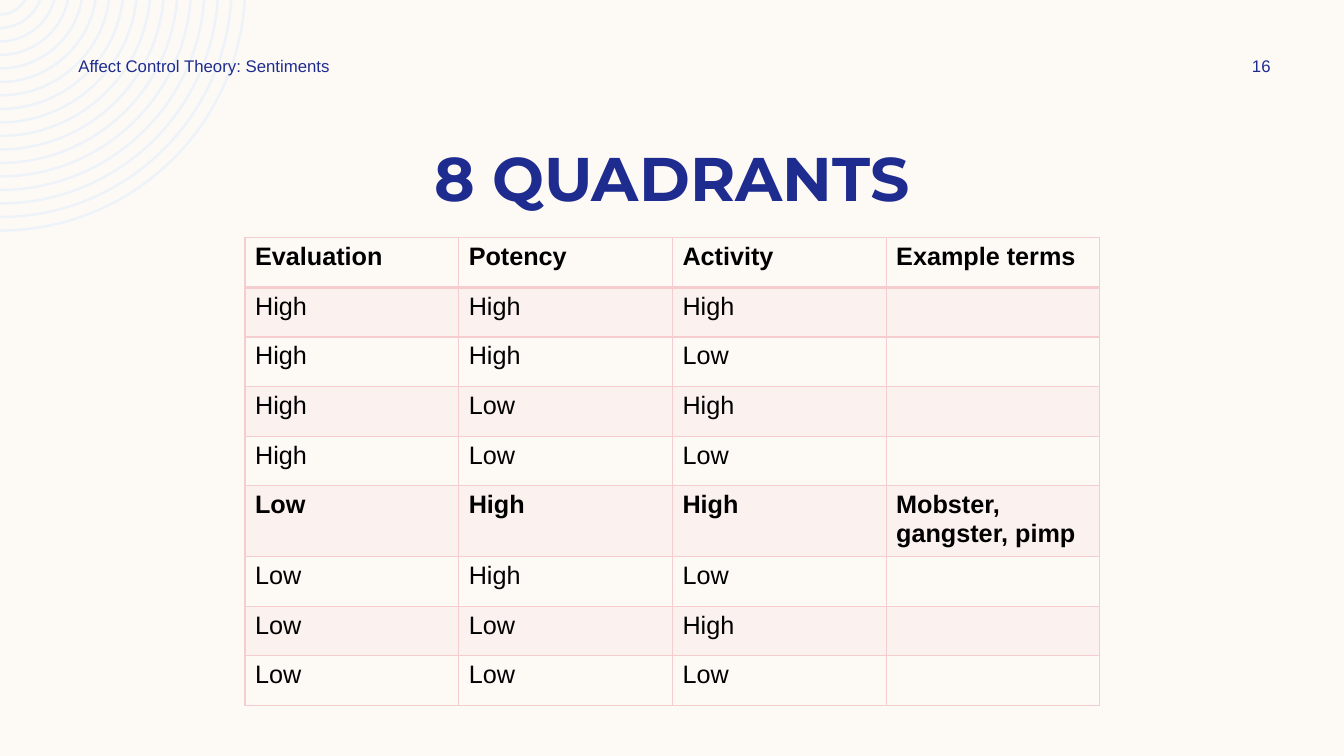
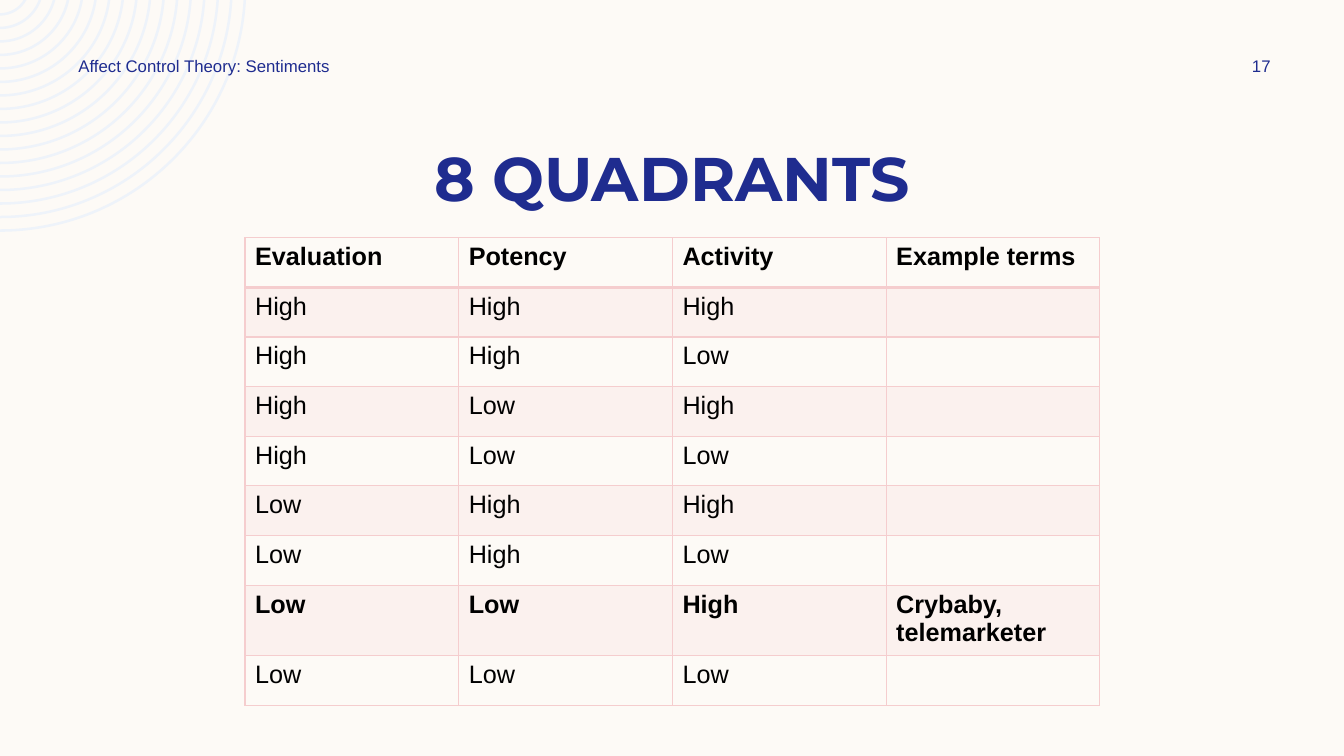
from itertools import product
from math import asin, cos, pi, sin, tan

from lxml.etree import SubElement
from pptx import Presentation
from pptx.dml.color import RGBColor
from pptx.enum.text import MSO_ANCHOR as Anchor, PP_ALIGN as Align
from pptx.oxml.ns import qn
from pptx.util import Inches, Pt

# Shared style
CREAM = RGBColor(0xFD, 0xFA, 0xF6)
NAVY = RGBColor(0x1F, 0x2C, 0x8F)
PALE_BLUE = RGBColor(0xEE, 0xF3, 0xFA)
PINK = RGBColor(0xF5, 0xCD, 0xCE)
BLACK = RGBColor(0, 0, 0)
BODY_FONT = "Arial"
TITLE_FONT = "Montserrat"

# Content
TITLE = "8 QUADRANTS"
RUNNING_HEAD = "Affect Control Theory: Sentiments"
HEADERS = ("Evaluation", "Potency", "Activity", "Example terms")
QUADRANTS = list(product(("High", "Low"), repeat=3))
PAGES = [
    (16, ("Low", "High", "High"), "Mobster, gangster, pimp"),
    (17, ("Low", "Low", "High"), "Crybaby, telemarketer"),
]

# Corner rings, in thousandths of an inch, around a point above the page
UNITS_PER_INCH = 1000
RING_COUNT = 17
RING_STEP = 134
RING_WIDTH = 25
RING_OUTER = 2445
CENTER_ABOVE = 145


def style_text(paragraph, size, color, font=BODY_FONT, bold=False):
    for span in paragraph.runs:
        span.font.size = Pt(size)
        span.font.name = font
        span.font.bold = bold
        span.font.color.rgb = color


def add_text(page, text, left, top, width, height, size,
             font=BODY_FONT, bold=False, align=Align.LEFT):
    box = page.shapes.add_textbox(Inches(left), Inches(top), Inches(width), Inches(height))
    frame = box.text_frame
    frame.word_wrap = True
    frame.vertical_anchor = Anchor.MIDDLE
    frame.text = text
    para = frame.paragraphs[0]
    para.alignment = align
    style_text(para, size, NAVY, font, bold)


def arc_curve(radius):
    """Four Bezier points from the top edge of the page round to its left edge."""
    start = asin(CENTER_ABOVE / radius)
    reach = radius * 4 / 3 * tan((pi / 2 - start) / 4)
    x, y = radius * cos(start), 0
    bottom = radius - CENTER_ABOVE
    return [(x, y), (x - reach * sin(start), y + reach * cos(start)),
            (reach, bottom), (0, bottom)]


def bend_line(line, points):
    """Turn a straight segment into a cubic curve."""
    line.tag = qn("a:cubicBezTo")
    for point in list(line):
        line.remove(point)
    for x, y in points:
        SubElement(line, qn("a:pt"), x=str(round(x)), y=str(round(y)))


def add_corner_rings(page):
    builder = None
    curves = []
    for i in range(RING_COUNT):
        radius = RING_OUTER - i * RING_STEP
        outer = arc_curve(radius)
        inner = arc_curve(radius - RING_WIDTH)[::-1]
        if builder is None:
            builder = page.shapes.build_freeform(*outer[0], scale=Inches(1) / UNITS_PER_INCH)
        else:
            builder.move_to(*outer[0])
        builder.add_line_segments([outer[-1], inner[0], inner[-1]], close=True)
        curves += [outer[1:], None, inner[1:]]
    rings = builder.convert_to_shape()
    for line, curve in zip(list(rings._element.iter(qn("a:lnTo"))), curves):
        if curve:
            bend_line(line, curve)
    rings.shadow.inherit = False
    rings.fill.solid()
    rings.fill.fore_color.rgb = PALE_BLUE
    rings.line.fill.background()


def set_borders(cell, bottom_width):
    properties = cell._tc.get_or_add_tcPr()
    for side, width in (("L", 1), ("R", 1), ("T", 1), ("B", bottom_width)):
        line = SubElement(properties, qn(f"a:ln{side}"), w=str(Pt(width)))
        fill = SubElement(line, qn("a:solidFill"))
        SubElement(fill, qn("a:srgbClr"), val=str(PINK))


def set_fill(cell, shaded):
    if not shaded:
        cell.fill.background()
        return
    cell.fill.solid()
    cell.fill.fore_color.rgb = PINK
    color = cell._tc.tcPr.find(qn("a:solidFill")).find(qn("a:srgbClr"))
    SubElement(color, qn("a:alpha"), val="20000")


def add_quadrant_table(page, highlight, examples):
    rows = [HEADERS] + [(*levels, examples if levels == highlight else "")
                        for levels in QUADRANTS]
    table = page.shapes.add_table(len(rows), len(HEADERS), Inches(2.43), Inches(2.36),
                                  Inches(8.48), Inches(4.43)).table
    table.first_row = False
    table.horz_banding = False
    for row, values in enumerate(rows):
        bold = row == 0 or values[:3] == highlight
        for column, value in enumerate(values):
            cell = table.cell(row, column)
            cell.text_frame.text = value
            style_text(cell.text_frame.paragraphs[0], 18, BLACK, bold=bold)
            set_borders(cell, bottom_width=2 if row == 0 else 1)
            set_fill(cell, shaded=row % 2 == 1)


def add_page(deck, number, highlight, examples):
    page = deck.slides.add_slide(deck.slide_layouts[6])
    add_corner_rings(page)
    add_text(page, TITLE, 0.83, 1.33, 11.67, 0.84, 44, TITLE_FONT, True, Align.CENTER)
    add_quadrant_table(page, highlight, examples)
    add_text(page, RUNNING_HEAD, 0.68, 0.5, 3.5, 0.3, 12)
    add_text(page, str(number), 11.97, 0.5, 1.08, 0.3, 12, align=Align.CENTER)


def main():
    deck = Presentation()
    deck.slide_width = Inches(13.33)
    deck.slide_height = Inches(7.5)
    background = deck.slide_master.background.fill
    background.solid()
    background.fore_color.rgb = CREAM
    for number, highlight, examples in PAGES:
        add_page(deck, number, highlight, examples)
    deck.save("out.pptx")


if __name__ == "__main__":
    main()
